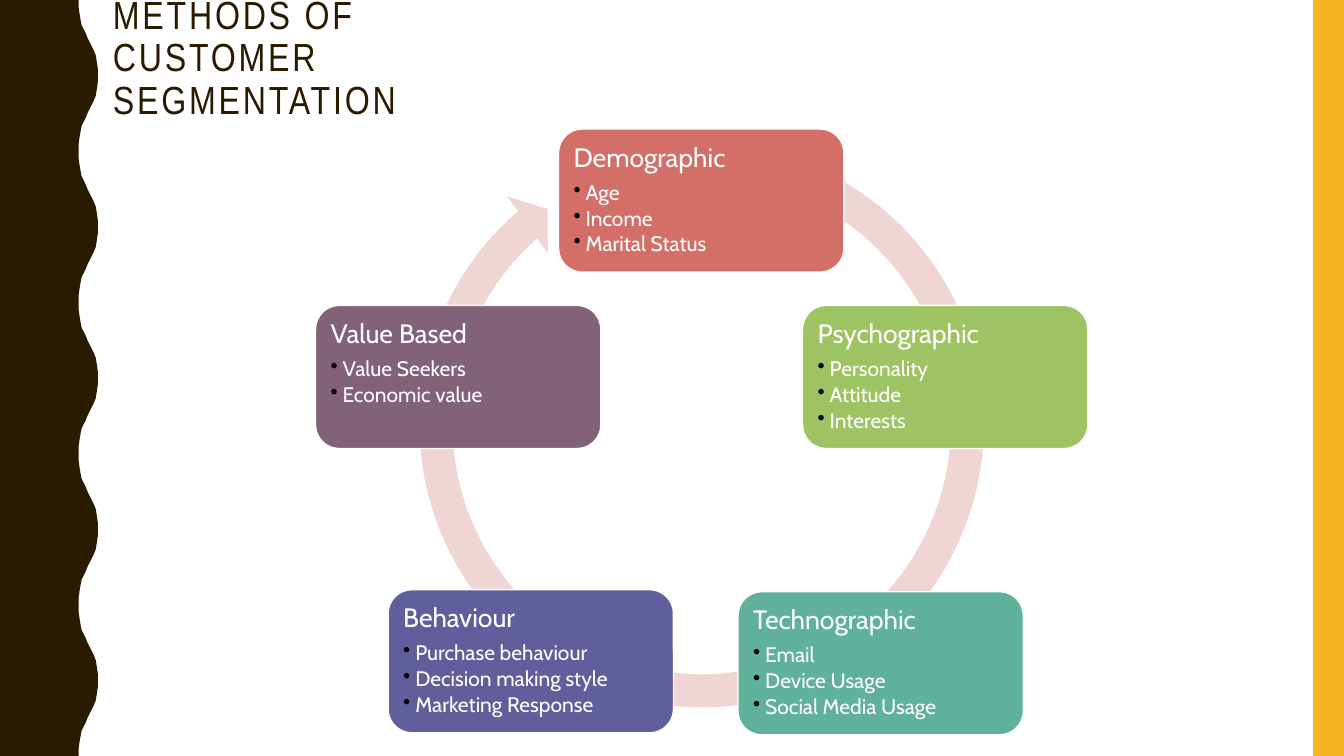
from lxml import etree
from pptx import Presentation
from pptx.dml.color import RGBColor
from pptx.enum.shapes import MSO_SHAPE
from pptx.enum.text import MSO_ANCHOR, MSO_AUTO_SIZE, PP_ALIGN
from pptx.oxml.ns import qn
from pptx.util import Inches, Pt

RECT = MSO_SHAPE.RECTANGLE
ROUNDED = MSO_SHAPE.ROUNDED_RECTANGLE
CIRCULAR_ARROW = MSO_SHAPE.CIRCULAR_ARROW
TOP, MIDDLE = MSO_ANCHOR.TOP, MSO_ANCHOR.MIDDLE
LEFT = PP_ALIGN.LEFT
NO_AUTOFIT = MSO_AUTO_SIZE.NONE

COLORS = {
    "brown": "2A1A00", "gold": "F8B323", "ring": "EFD5D4",
    "white": "FFFFFF", "black": "000000", "red": "D36F68",
    "green": "9DC362", "teal": "5FB19A", "indigo": "615F9B",
    "plum": "826276",
}
TITLE_FONT, BODY_FONT = "Arial Narrow", "Cabin"
SLIDE_W, SLIDE_H = 13.33, 7.5
CARD_W, CARD_H = 2.83, 1.42
WAVE_PERIOD = 1.5
HALF_WAVE = [
    (0.78, 0), (0.78, 0.07), (0.79, 0.14), (0.8, 0.2), (0.81, 0.25),
    (0.83, 0.29), (0.85, 0.33), (0.87, 0.38), (0.89, 0.42), (0.91, 0.46),
    (0.93, 0.5), (0.95, 0.55), (0.96, 0.61), (0.97, 0.68), (0.97, 0.75),
]
RING_ADJUSTMENTS = [0.055, 3.307, 137.424, 174.064, 0.058]
CARDS = [
    (5.54, 1.28, "red", "Demographic", ["Age", "Income", "Marital Status"]),
    (7.96, 3.03, "green", "Psychographic",
     ["Personality", "Attitude", "Interests"]),
    (7.32, 5.87, "teal", "Technographic",
     ["Email", "Device Usage", "Social Media Usage"]),
    (3.85, 5.85, "indigo", "Behaviour",
     ["Purchase behaviour", "Decision making style", "Marketing Response"]),
    (3.13, 3.03, "plum", "Value Based", ["Value Seekers", "Economic value"]),
]


def rgb(name):
    """Return the named palette colour."""
    return RGBColor.from_string(COLORS[name])


def paint(shape, fill, line=None):
    """Set a flat fill and an optional 1 pt outline."""
    shape.shadow.inherit = False
    shape.fill.solid()
    shape.fill.fore_color.rgb = rgb(fill)
    if line:
        shape.line.color.rgb = rgb(line)
        shape.line.width = Pt(1)
    else:
        shape.line.fill.background()


def add_box(s, kind, x, y, w, h, fill, line=None):
    """Add a painted preset shape."""
    sp = s.shapes.add_shape(kind, Inches(x), Inches(y), Inches(w), Inches(h))
    paint(sp, fill, line)
    return sp


def add_run(p, text, size, font, color):
    """Add a formatted run to a paragraph."""
    r = p.add_run()
    r.text = text
    r.font.size = Pt(size)
    r.font.name = font
    r.font.color.rgb = rgb(color)
    return r


def add_wave(s):
    """Add the wavy band on the left edge."""
    period = HALF_WAVE + [(x, WAVE_PERIOD - y) for x, y in HALF_WAVE[-2::-1]]
    edge = [(x, y + i * WAVE_PERIOD)
            for i in range(int(SLIDE_H / WAVE_PERIOD)) for x, y in period]
    points = [(Inches(x), Inches(y)) for x, y in edge + [(0, SLIDE_H)]]
    builder = s.shapes.build_freeform(0, 0)
    builder.add_line_segments(points, close=True)
    paint(builder.convert_to_shape(), "brown")


def add_title(s, text):
    """Place and format the title placeholder."""
    sp = s.shapes.title
    sp.left, sp.top = Inches(1.02), Inches(0.09)
    sp.width, sp.height = Inches(4.46), Inches(0.99)
    tf = sp.text_frame
    tf.word_wrap = True
    tf.auto_size = NO_AUTOFIT
    tf.vertical_anchor = MIDDLE
    p = tf.paragraphs[0]
    p.alignment = LEFT
    p.line_spacing = 0.9
    r = add_run(p, text, 28, TITLE_FONT, "brown")
    r.font._element.set("spc", "200")


def format_paragraph(p, after):
    """Set left alignment, line spacing and percent space after."""
    p.alignment = LEFT
    p.line_spacing = 0.9
    pPr = p._p.get_or_add_pPr()
    spacing = etree.SubElement(pPr, qn("a:spcAft"))
    etree.SubElement(spacing, qn("a:spcPct")).set("val", str(after * 1000))


def add_bullet(p):
    """Give a paragraph a black hanging bullet."""
    p.level = 1
    pPr = p._p.get_or_add_pPr()
    pPr.set("marL", str(Inches(0.12)))
    pPr.set("indent", str(-Inches(0.12)))
    color = etree.SubElement(pPr, qn("a:buClr"))
    etree.SubElement(color, qn("a:srgbClr")).set("val", COLORS["black"])
    etree.SubElement(pPr, qn("a:buChar")).set("char", "•")


def add_card(s, x, y, color, heading, items):
    """Add a rounded card with a heading and bullets."""
    sp = add_box(s, ROUNDED, x, y, CARD_W, CARD_H, color, "white")
    tf = sp.text_frame
    tf.word_wrap = True
    tf.vertical_anchor = TOP
    tf.margin_left = tf.margin_right = Inches(0.08)
    tf.margin_top = tf.margin_bottom = Inches(0.08)
    p = tf.paragraphs[0]
    format_paragraph(p, 35)
    add_run(p, heading, 19, BODY_FONT, "white")
    for item in items:
        p = tf.add_paragraph()
        format_paragraph(p, 15)
        add_bullet(p)
        add_run(p, item, 15, BODY_FONT, "white")


def main():
    """Build the slide and save it."""
    prs = Presentation()
    prs.slide_width, prs.slide_height = Inches(SLIDE_W), Inches(SLIDE_H)
    s = prs.slides.add_slide(prs.slide_layouts[5])
    add_wave(s)
    add_box(s, RECT, 13.02, 0, 0.31, SLIDE_H, "gold")
    add_title(s, "METHODS OF CUSTOMER SEGMENTATION")
    ring = add_box(s, CIRCULAR_ARROW, 3.98, 1.24, 5.96, 5.96, "ring")
    for i, value in enumerate(RING_ADJUSTMENTS):
        ring.adjustments[i] = value
    for card in CARDS:
        add_card(s, *card)
    prs.save("out.pptx")


if __name__ == "__main__":
    main()
